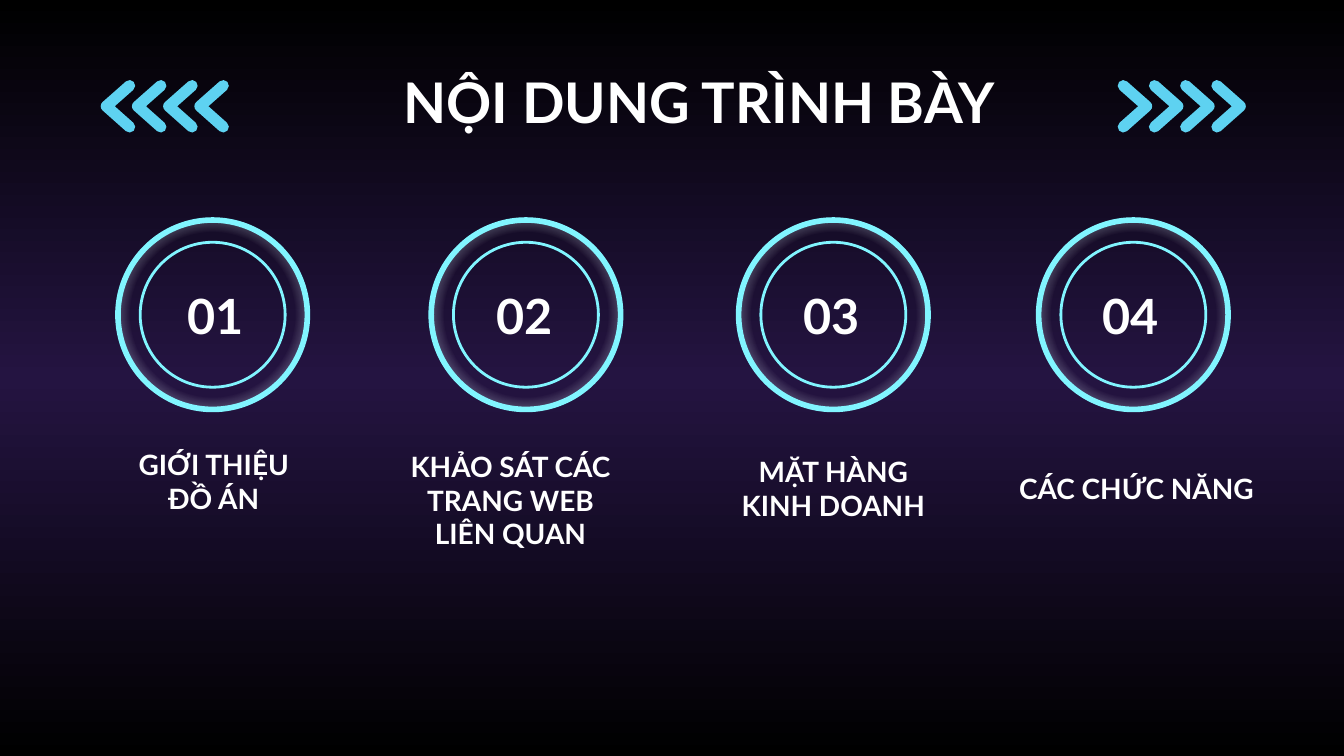
from lxml import etree
from pptx import Presentation, util as u
from pptx.dml.color import RGBColor
from pptx.enum import shapes, text
from pptx.oxml.ns import qn

WHITE, RING, SKY = "FFFFFF", "81F5FF", "5ED2F1"
ITEMS = [  # ring centre, number centre, caption left, top, width, caption
    (4.02, 4.08, 2.01, 8.28, 4.06, "GIỚI THIỆU ĐỒ ÁN"),
    (9.94, 9.92, 7.21, 8.64, 4.88, "KHẢO SÁT CÁC TRANG WEB LIÊN QUAN"),
    (15.75, 15.71, 13.72, 8.41, 4.06, "MẶT HÀNG KINH DOANH"),
    (21.42, 21.37, 18.85, 8.41, 5.26, "CÁC CHỨC NĂNG"),
]
MID = 5.95


def color(code):
    return RGBColor.from_string(code)


def fade(parent, stops, angle=None):
    """Swap the solid fill of parent for a gradient: linear with an angle, else round.

    Each stop is (percent, colour, alpha percent).
    """
    grad = etree.Element(qn("a:gradFill"), rotWithShape="1")
    row = etree.SubElement(grad, qn("a:gsLst"))
    for pos, code, alpha in stops:
        stop = etree.SubElement(row, qn("a:gs"), pos=str(pos * 1000))
        tint = etree.SubElement(stop, qn("a:srgbClr"), val=code)
        etree.SubElement(tint, qn("a:alpha"), val=str(alpha * 1000))
    if angle is not None:
        etree.SubElement(grad, qn("a:lin"), ang=str(angle * 60000), scaled="0")
    else:
        way = etree.SubElement(grad, qn("a:path"), path="circle")
        etree.SubElement(way, qn("a:fillToRect"), l="50000", t="50000", r="50000", b="50000")
    parent.replace(parent.find(qn("a:solidFill")), grad)


def write(shape, words, size, anchor=text.MSO_ANCHOR.MIDDLE):
    frame = shape.text_frame
    frame.text = words
    frame.word_wrap = True
    frame.auto_size = text.MSO_AUTO_SIZE.NONE
    frame.vertical_anchor = anchor
    frame.margin_left = frame.margin_right = u.Cm(0.25)
    frame.margin_top = frame.margin_bottom = u.Cm(0.25)
    para = frame.paragraphs[0]
    props = para._p.get_or_add_pPr()
    props.set("marL", "0")
    props.set("indent", "0")
    etree.SubElement(props, qn("a:buNone"))
    para.alignment = text.PP_ALIGN.CENTER
    para.space_before = u.Pt(0)
    font = para.runs[0].font
    font.name, font.size, font.bold = "Lato", u.Pt(size), True
    font.color.rgb = color(WHITE)


class Deck:
    def __init__(self, slide):
        self.slide = slide
        self.draw = slide.shapes

    def back(self):
        self.slide.background.fill.solid()
        fade(self.slide.element.xpath(".//p:bgPr")[0],
             [(0, "000000", 100), (50, "241441", 100), (100, "000000", 100)], 90)

    def place(self, holder, words, left, top, width, height, size, **style):
        holder.left, holder.top = u.Cm(left), u.Cm(top)
        holder.width, holder.height = u.Cm(width), u.Cm(height)
        write(holder, words, size, **style)

    def ring(self, mid, size, weight, glow=False):
        oval = self.draw.add_shape(
            shapes.MSO_SHAPE.OVAL, u.Cm(mid - size / 2), u.Cm(MID - size / 2),
            u.Cm(size), u.Cm(size))
        oval.shadow.inherit = False
        oval.line.color.rgb = color(RING)
        oval.line.width = u.Pt(weight)
        if glow:
            oval.fill.solid()
            fade(oval.element.spPr, [(0, WHITE, 0), (61, WHITE, 0), (100, SKY, 100)])
        else:
            oval.fill.background()

    def label(self, words, mid):
        box = self.draw.add_textbox(u.Cm(mid - 1.2), u.Cm(5.23), u.Cm(2.4), u.Cm(1.45))
        write(box, words, 26)

    def arrows(self, left, way):
        """Draw four chevrons in a group; way is 1 for right, -1 for left."""
        group = self.draw.add_group_shape()
        for i in range(4):
            mid = left + 0.59 * i + 0.22
            tail, tip = u.Cm(mid - 0.22 * way), u.Cm(mid + 0.22 * way)
            path = group.shapes.build_freeform(tail, u.Cm(2.4))
            path.add_line_segments([(tip, u.Cm(2.01)), (tail, u.Cm(1.62))], close=False)
            mark = path.convert_to_shape()
            mark.shadow.inherit = False
            mark.fill.background()
            mark.line.color.rgb = color(SKY)
            mark.line.width = u.Pt(6)
            line = mark.line._get_or_add_ln()
            line.set("cap", "rnd")
            etree.SubElement(line, qn("a:round"))


def main():
    show = Presentation()
    show.slide_width, show.slide_height = u.Cm(25.4), u.Cm(14.29)
    deck = Deck(show.slides.add_slide(show.slide_layouts.get_by_name("Comparison")))
    deck.back()
    title, *bodies = list(deck.slide.placeholders)[:5]
    for item in ITEMS:
        deck.ring(item[0], 2.74, 1.5)
    for item in ITEMS:
        deck.ring(item[0], 3.58, 3, glow=True)
    deck.place(title, "NỘI DUNG TRÌNH BÀY", 6.96, 1.02, 12.52, 1.45, 30,
               anchor=text.MSO_ANCHOR.TOP)
    for i, (body, item) in enumerate(zip(bodies, ITEMS), 1):
        _, mid, left, top, width, words = item
        deck.place(body, words, left, top, width, 1.63, 15)
        deck.label(f"{i:02}", mid)
    deck.arrows(21.23, 1)
    deck.arrows(2.01, -1)
    show.save("out.pptx")


if __name__ == "__main__":
    main()
